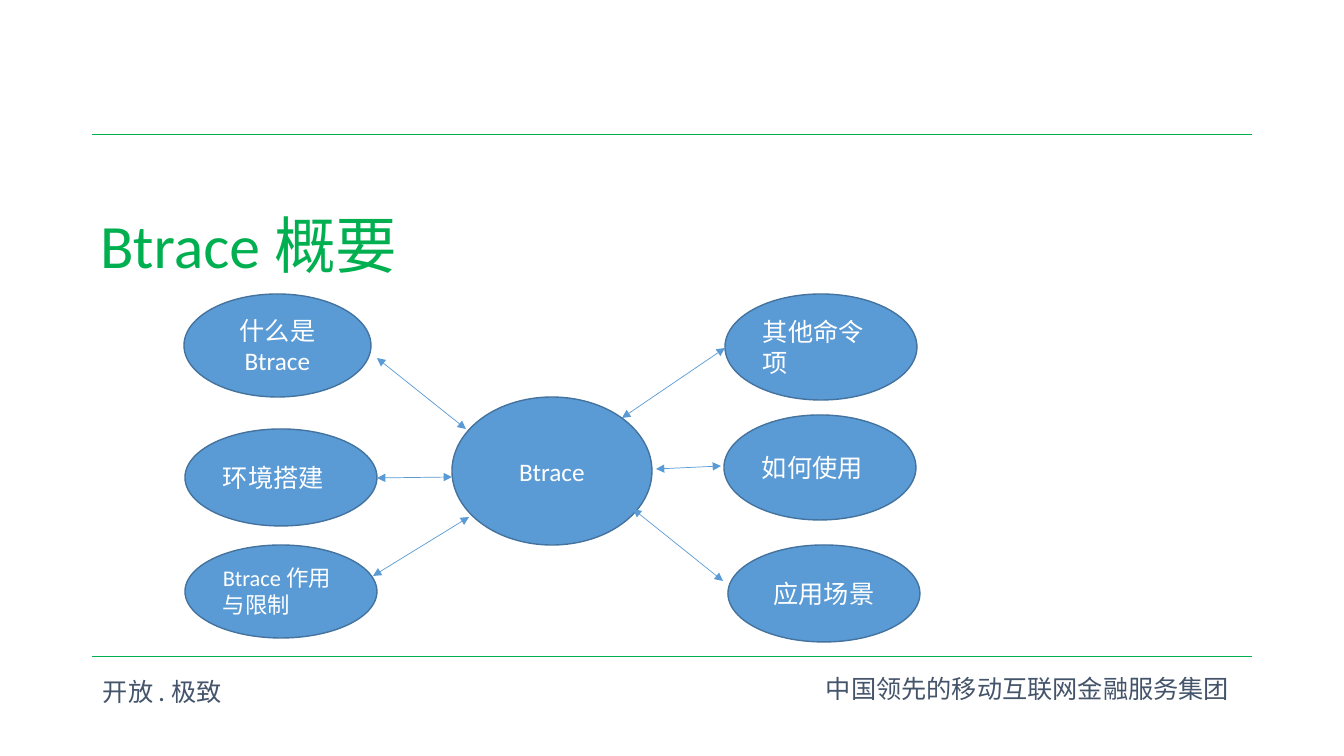
from dataclasses import dataclass

from lxml import etree
from pptx import Presentation
from pptx.dml.color import RGBColor
from pptx.enum.shapes import MSO_CONNECTOR, MSO_SHAPE
from pptx.enum.text import MSO_ANCHOR, MSO_AUTO_SIZE, PP_ALIGN
from pptx.oxml.ns import qn
from pptx.util import Emu, Pt

ELLIPSE = MSO_SHAPE.OVAL
STRAIGHT = MSO_CONNECTOR.STRAIGHT
LEFT, CENTER = PP_ALIGN.LEFT, PP_ALIGN.CENTER
TOP, MIDDLE = MSO_ANCHOR.TOP, MSO_ANCHOR.MIDDLE
FIXED = MSO_AUTO_SIZE.NONE
SCALE = 914400 / 100.8


@dataclass(frozen=True)
class Theme:
    green: str = "00B050"
    blue: str = "5B9BD5"
    outline: str = "43739E"
    slate: str = "44546A"
    white: str = "FFFFFF"
    latin: str = "Calibri"
    chinese: str = "Noto Sans CJK SC"
    title: int = 44
    body: int = 18
    small: int = 16
    hairline: float = 0.5
    border: float = 1


def px(*values):
    return [Emu(round(value * SCALE)) for value in values]


class Page:
    """Draws styled elements on one slide."""

    def __init__(self, deck, theme):
        self.theme = theme
        self.slide = deck.slides.add_slide(deck.slide_layouts[5])

    def set_text(self, shape, text, size, color, font, align=LEFT, anchor=MIDDLE):
        frame = shape.text_frame
        frame.text = text
        frame.word_wrap = True
        frame.auto_size = FIXED
        frame.vertical_anchor = anchor
        para = frame.paragraphs[0]
        para.alignment = align
        for span in para.runs:
            span.font.size = Pt(size)
            span.font.name = font
            span.font.color.rgb = RGBColor.from_string(color)
            east_asian = etree.SubElement(span.font._element, qn("a:ea"))
            east_asian.set("typeface", self.theme.chinese)
        return para

    def title(self, text, box):
        shape = self.slide.shapes.title
        shape.left, shape.top, shape.width, shape.height = px(*box)
        para = self.set_text(shape, text, self.theme.title, self.theme.green, self.theme.latin)
        para.line_spacing = 0.9

    def label(self, text, box):
        shape = self.slide.shapes.add_textbox(*px(*box))
        self.set_text(shape, text, self.theme.body, self.theme.slate, self.theme.chinese, anchor=TOP)

    def bubble(self, text, box, size, align):
        shape = self.slide.shapes.add_shape(ELLIPSE, *px(*box))
        shape.shadow.inherit = False
        shape.fill.solid()
        shape.fill.fore_color.rgb = RGBColor.from_string(self.theme.blue)
        shape.line.color.rgb = RGBColor.from_string(self.theme.outline)
        shape.line.width = Pt(self.theme.border)
        self.set_text(shape, text, size, self.theme.white, self.theme.latin, align)

    def line(self, ends, color, arrows=False):
        connector = self.slide.shapes.add_connector(STRAIGHT, *px(*ends))
        connector.line.color.rgb = RGBColor.from_string(color)
        connector.line.width = Pt(self.theme.hairline)
        properties = connector._element.spPr
        if arrows:
            outline = properties.find(qn("a:ln"))
            for end in ("a:headEnd", "a:tailEnd"):
                etree.SubElement(outline, qn(end)).set("type", "triangle")
        etree.SubElement(properties, qn("a:effectLst"))


def main():
    theme = Theme()
    deck = Presentation()
    deck.slide_width, deck.slide_height = px(1344, 756)
    page = Page(deck, theme)

    for y in (134, 656):
        page.line((92, y, 1252, y), theme.green)
    page.label("开放 . 极致", (93, 671, 1159, 40))
    page.label("中国领先的移动互联网金融服务集团", (816, 668, 436, 40))
    page.title("Btrace 概要", (90, 176, 1159, 146))

    bubbles = [
        ("Btrace", (452, 397, 200, 148), theme.body, CENTER),
        ("什么是Btrace", (184, 294, 187, 103), theme.body, CENTER),
        ("环境搭建", (185, 429, 192, 97), theme.body, LEFT),
        ("Btrace 作用与限制", (185, 545, 192, 93), theme.small, LEFT),
        ("其他命令项", (725, 294, 192, 106), theme.body, LEFT),
        ("如何使用", (724, 415, 192, 105), theme.body, LEFT),
        ("应用场景", (728, 545, 192, 97), theme.body, CENTER),
    ]
    for bubble in bubbles:
        page.bubble(*bubble)

    arrows = [
        (377, 358, 466, 429),
        (377, 478, 452, 477),
        (656, 469, 721, 466),
        (633, 509, 723, 581),
        (725, 348, 622, 418),
        (469, 517, 373, 576),
    ]
    for ends in arrows:
        page.line(ends, theme.blue, arrows=True)

    deck.save("out.pptx")


main()
